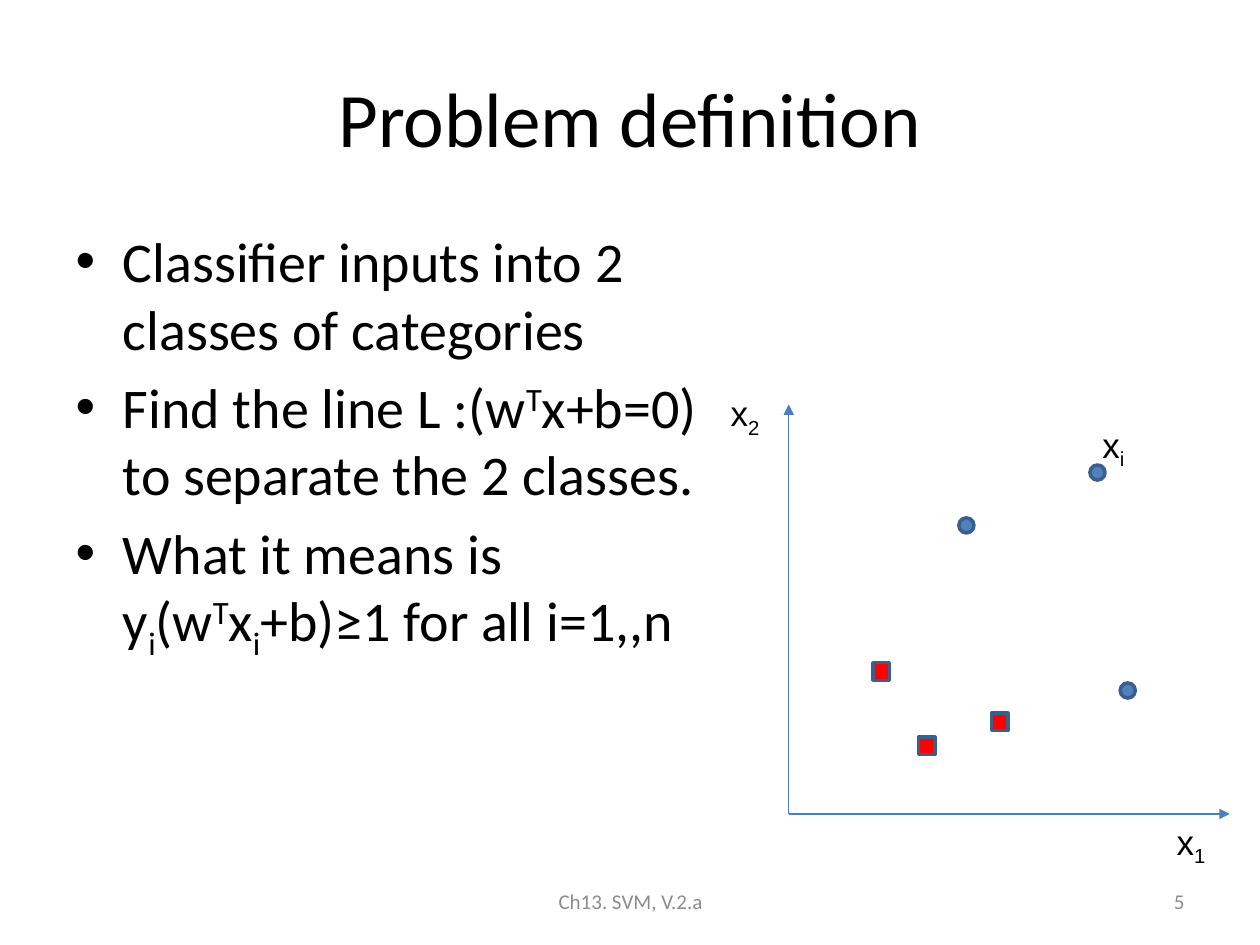
from typing import NamedTuple

from lxml import etree
from pptx import Presentation
from pptx import util as u
from pptx.dml import color
from pptx.enum import shapes, text
from pptx.oxml import ns

BLACK, GREY = "000000", "8C8C8C"
BLUE, RED, OUTLINE, AXIS = "4F81BD", "FF0000", "3A5F8C", "4B7EBC"
SUB, SUP = -25, 30  # baseline shift in percent


class Piece(NamedTuple):
    text: str
    baseline: int = 0


class Label(NamedTuple):
    left: float
    top: float
    width: float
    height: float
    pieces: list[Piece]
    size: float = 20
    font: str = "Arial"
    color: str = BLACK
    align: text.PP_ALIGN = text.PP_ALIGN.LEFT
    anchor: text.MSO_ANCHOR = text.MSO_ANCHOR.TOP
    wrap: bool = True


class Marker(NamedTuple):
    kind: shapes.MSO_SHAPE
    left: float
    top: float
    width: float
    height: float
    fill: str


def rgb(value: str) -> color.RGBColor:
    return color.RGBColor.from_string(value)


def place(shape, left: float, top: float, width: float, height: float) -> None:
    shape.left, shape.top = u.Pt(left), u.Pt(top)
    shape.width, shape.height = u.Pt(width), u.Pt(height)


def write(paragraph, pieces: list[Piece], size: float, font: str, ink: str) -> None:
    for piece in pieces:
        run = paragraph.add_run()
        run.text = piece.text
        run.font.size, run.font.name = u.Pt(size), font
        run.font.color.rgb = rgb(ink)
        if piece.baseline:
            run.font._element.set("baseline", str(piece.baseline * 1000))


def draw_label(slide, label: Label) -> None:
    box = slide.shapes.add_textbox(*map(u.Pt, label[:4]))
    frame = box.text_frame
    frame.word_wrap = label.wrap
    frame.vertical_anchor = label.anchor
    frame.paragraphs[0].alignment = label.align
    write(frame.paragraphs[0], label.pieces, label.size, label.font, label.color)


def draw_axis(slide, x1: float, y1: float, x2: float, y2: float) -> None:
    axis = slide.shapes.add_connector(
        shapes.MSO_CONNECTOR.STRAIGHT, u.Pt(x1), u.Pt(y1), u.Pt(x2), u.Pt(y2))
    axis.line.color.rgb = rgb(AXIS)
    axis.line.width = u.Pt(0.75)
    etree.SubElement(axis.line._get_or_add_ln(), ns.qn("a:tailEnd"), type="triangle")
    etree.SubElement(axis._element.spPr, ns.qn("a:effectLst"))


def draw_marker(slide, marker: Marker) -> None:
    point = slide.shapes.add_shape(marker.kind, *map(u.Pt, marker[1:5]))
    point.shadow.inherit = False
    point.fill.solid()
    point.fill.fore_color.rgb = rgb(marker.fill)
    point.line.color.rgb = rgb(OUTLINE)
    point.line.width = u.Pt(2)


def circle(left: float, top: float) -> Marker:
    return Marker(shapes.MSO_SHAPE.OVAL, left, top, 8.64, 8.64, BLUE)


def square(left: float, top: float) -> Marker:
    return Marker(shapes.MSO_SHAPE.RECTANGLE, left, top, 9.36, 10.08, RED)


def footer(left: float, width: float, words: str, align: text.PP_ALIGN) -> Label:
    return Label(left, 500.4, width, 28.8, [Piece(words)], 12, "Calibri", GREY,
                 align, text.MSO_ANCHOR.MIDDLE)


BULLETS = [
    [Piece("Classifier inputs into 2 classes of categories")],
    [Piece("Find the line L :(w"), Piece("T", SUP),
     Piece("x+b=0) to separate the 2 classes.")],
    [Piece("What it means is y"), Piece("i", SUB), Piece("(w"), Piece("T", SUP),
     Piece("x"), Piece("i", SUB), Piece("+b)≥1 for all i=1,,n")],
]
LABELS = [
    footer(246.24, 228.24, "Ch13. SVM, V.2.a", text.PP_ALIGN.CENTER),
    footer(516.24, 167.76, "5", text.PP_ALIGN.RIGHT),
    Label(665.28, 465.12, 41.76, 31.68, [Piece("x"), Piece("1", SUB)]),
    Label(410.4, 220.32, 41.76, 31.68, [Piece("x"), Piece("2", SUB)]),
    Label(622.8, 238.32, 27.36, 31.68, [Piece("x"), Piece("i", SUB)], wrap=False),
]
MARKERS = [
    circle(622.8, 265.68), circle(640.08, 390.24), circle(547.92, 295.92),
    square(566.64, 407.52), square(524.88, 421.2), square(498.96, 378.72),
]
ORIGIN_X, ORIGIN_Y = 450.72, 465.12


def main() -> None:
    deck = Presentation()
    deck.slide_width, deck.slide_height = u.Pt(720), u.Pt(540)
    slide = deck.slides.add_slide(deck.slide_layouts[1])

    # Title
    title = slide.shapes.title
    place(title, 36, 21.6, 648, 90)
    title.text_frame.vertical_anchor = text.MSO_ANCHOR.MIDDLE
    heading = title.text_frame.paragraphs[0]
    heading.alignment = text.PP_ALIGN.CENTER
    write(heading, [Piece("Problem definition")], 44, "Calibri", BLACK)

    # Bullet list
    body = slide.placeholders[1]
    place(body, 36, 126, 374.4, 356.4)
    frame = body.text_frame
    frame.auto_size = text.MSO_AUTO_SIZE.NONE
    for index, pieces in enumerate(BULLETS):
        bullet = frame.add_paragraph() if index else frame.paragraphs[0]
        write(bullet, pieces, 32, "Calibri", BLACK)

    # Scatter sketch: axes, class members, labels and footer
    draw_axis(slide, ORIGIN_X, ORIGIN_Y, ORIGIN_X, 231.12)
    draw_axis(slide, ORIGIN_X, ORIGIN_Y, 702.72, ORIGIN_Y)
    for marker in MARKERS:
        draw_marker(slide, marker)
    for label in LABELS:
        draw_label(slide, label)

    deck.save("out.pptx")


if __name__ == "__main__":
    main()
